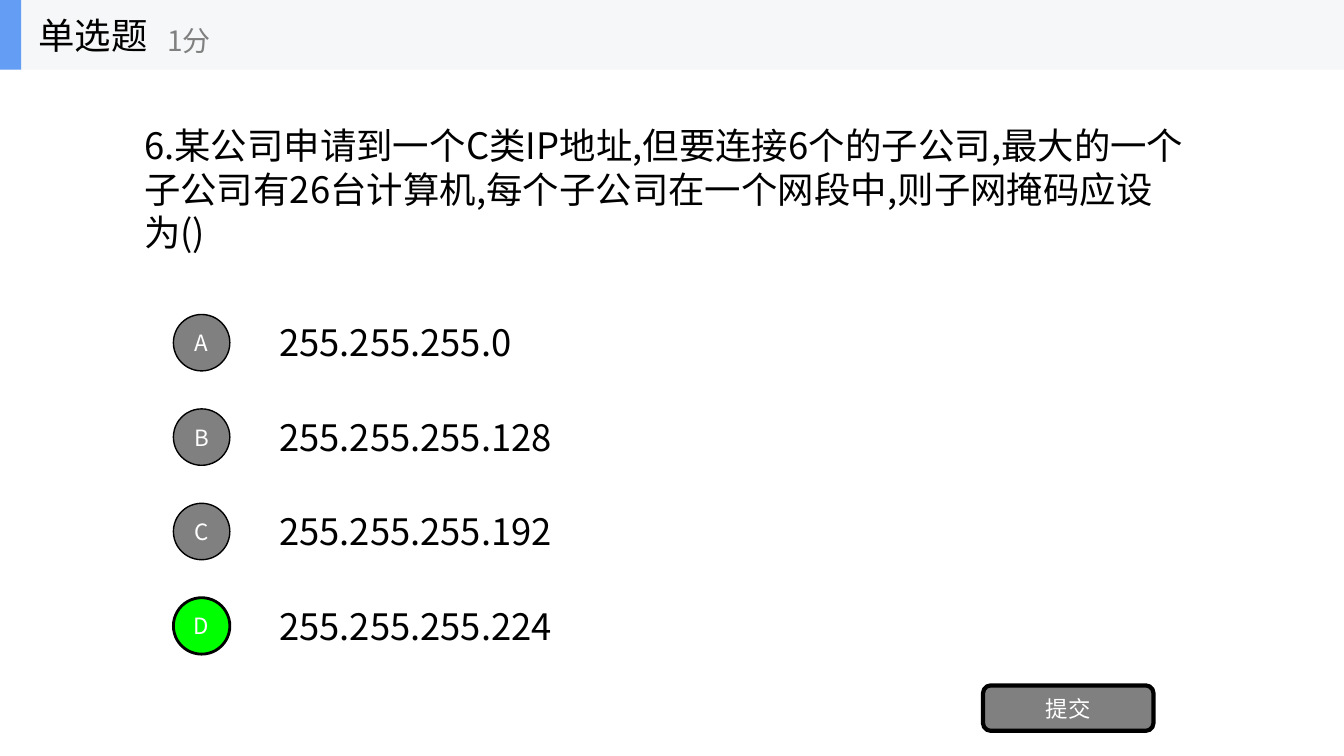
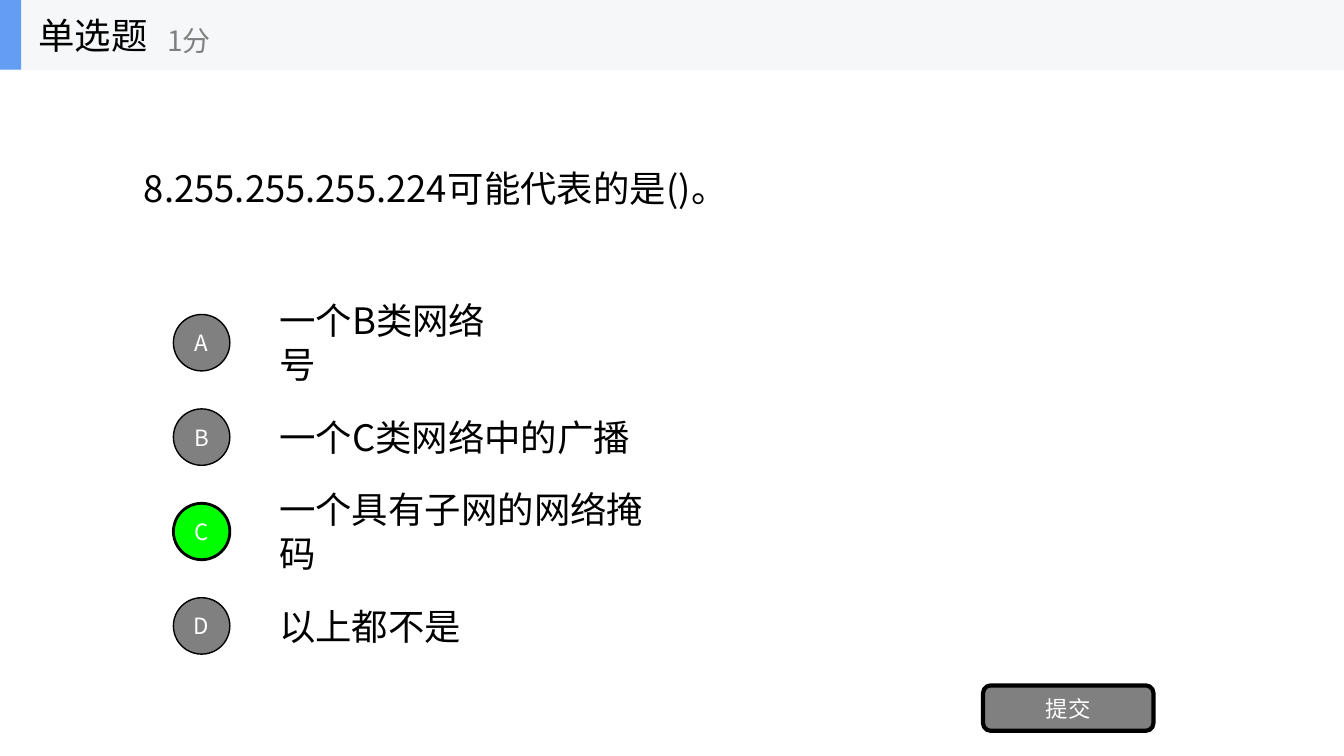
from dataclasses import dataclass

from lxml.etree import SubElement
from pptx import Presentation
from pptx.dml.color import RGBColor
from pptx.enum.shapes import MSO_SHAPE as Preset
from pptx.enum.text import MSO_ANCHOR as Anchor, MSO_AUTO_SIZE as AutoSize, PP_ALIGN as Align
from pptx.oxml.ns import qn
from pptx.shapes.autoshape import Shape
from pptx.slide import Slide
from pptx.util import Inches, Pt


@dataclass(frozen=True)
class Theme:
    font: str = "Noto Sans CJK SC"
    black: str = "000000"
    white: str = "FFFFFF"
    gray: str = "808080"
    correct: str = "00FF00"
    band: str = "F6F7F8"
    accent: str = "639EF4"
    body_size: int = 26
    score_size: int = 20
    button_size: int = 16


@dataclass(frozen=True)
class Box:
    left: float
    top: float
    width: float
    height: float

    def lengths(self) -> tuple[Inches, ...]:
        return tuple(Inches(value) for value in (self.left, self.top, self.width, self.height))


@dataclass(frozen=True)
class Option:
    text: str
    width: float
    correct: bool = False


@dataclass(frozen=True)
class Question:
    text: str
    box: Box
    options: tuple[Option, ...]


THEME = Theme()
SLIDE_WIDTH, SLIDE_HEIGHT = 13.33, 7.5
HEADER_HEIGHT = 0.69
FIRST_TOP, LAST_TOP = 3.12, 5.93
BADGE_LEFT, BADGE_SIZE = 1.72, 0.56
OPTION_LEFT, OPTION_HEIGHT, OPTION_OFFSET = 2.67, 0.53, 0.01

QUESTIONS = (
    Question(
        "6.某公司申请到一个C类IP地址,但要连接6个的子公司,最大的一个子公司有26台计算机,"
        "每个子公司在一个网段中,则子网掩码应设为()",
        Box(1.33, 1.17, 10.55, 1.4),
        (
            Option("255.255.255.0", 2.58),
            Option("255.255.255.128", 3),
            Option("255.255.255.192", 3),
            Option("255.255.255.224", 3, correct=True),
        ),
    ),
    Question(
        "8.255.255.255.224可能代表的是()。",
        Box(1.33, 1.6, 6.07, 0.53),
        (
            Option("一个B类网络号", 2.59),
            Option("一个C类网络中的广播", 3.69),
            Option("一个具有子网的网络掩码", 4.17, correct=True),
            Option("以上都不是", 2.01),
        ),
    ),
)


def write_text(shape: Shape, text: str, *, size: int = THEME.body_size,
               color: str = THEME.black, align: Align = Align.LEFT,
               wrap: bool = True, grow: bool = False) -> None:
    frame = shape.text_frame
    frame.word_wrap = wrap
    frame.auto_size = AutoSize.SHAPE_TO_FIT_TEXT if grow else AutoSize.NONE
    frame.vertical_anchor = Anchor.MIDDLE
    paragraph = frame.paragraphs[0]
    paragraph.alignment = align
    run = paragraph.add_run()
    run.text = text
    run.font.size = Pt(size)
    run.font.color.rgb = RGBColor.from_string(color)
    run.font.name = THEME.font
    SubElement(run.font._element, qn("a:ea"), typeface=THEME.font)


def add_text_box(slide: Slide, box: Box, text: str, **text_format) -> None:
    write_text(slide.shapes.add_textbox(*box.lengths()), text, **text_format)


def add_block(slide: Slide, preset: Preset, box: Box, fill: str, line_width: float = 0) -> Shape:
    shape = slide.shapes.add_shape(preset, *box.lengths())
    shape.shadow.inherit = False
    shape.fill.solid()
    shape.fill.fore_color.rgb = RGBColor.from_string(fill)
    if line_width:
        shape.line.color.rgb = RGBColor.from_string(THEME.black)
        shape.line.width = Pt(line_width)
    else:
        shape.line.fill.background()
    return shape


def add_button(slide: Slide, preset: Preset, box: Box, text: str, fill: str, line_width: float) -> None:
    button = add_block(slide, preset, box, fill, line_width)
    write_text(button, text, size=THEME.button_size, color=THEME.white, align=Align.CENTER)


def add_header(slide: Slide) -> None:
    add_block(slide, Preset.RECTANGLE, Box(0, 0, SLIDE_WIDTH, HEADER_HEIGHT), THEME.band)
    add_block(slide, Preset.RECTANGLE, Box(0, 0, 0.21, HEADER_HEIGHT), THEME.accent)
    title = slide.shapes.title
    title.left, title.top, title.width, title.height = Box(0.28, 0, 2.08, HEADER_HEIGHT).lengths()
    write_text(title, "单选题", wrap=False)
    title.element.getparent().append(title.element)
    add_text_box(slide, Box(1.56, 0.12, 2.5, 0.56), "1分",
                 size=THEME.score_size, color=THEME.gray, wrap=False)


def add_options(slide: Slide, options: tuple[Option, ...]) -> None:
    pitch = (LAST_TOP - FIRST_TOP) / (len(options) - 1)
    for index, (letter, option) in enumerate(zip("ABCD", options)):
        top = FIRST_TOP + index * pitch
        add_text_box(slide, Box(OPTION_LEFT, top + OPTION_OFFSET, option.width, OPTION_HEIGHT),
                     option.text, grow=True)
        fill, line_width = (THEME.correct, 2) if option.correct else (THEME.gray, 1)
        add_button(slide, Preset.OVAL, Box(BADGE_LEFT, top, BADGE_SIZE, BADGE_SIZE),
                   letter, fill, line_width)


def add_question_slide(presentation: Presentation, question: Question) -> None:
    slide = presentation.slides.add_slide(presentation.slide_layouts.get_by_name("Title Only"))
    add_text_box(slide, question.box, question.text, grow=True)
    add_options(slide, question.options)
    add_button(slide, Preset.ROUNDED_RECTANGLE, Box(9.75, 6.8, 1.69, 0.45), "提交", THEME.gray, 3)
    add_header(slide)


def main() -> None:
    presentation = Presentation()
    presentation.slide_width = Inches(SLIDE_WIDTH)
    presentation.slide_height = Inches(SLIDE_HEIGHT)
    for question in QUESTIONS:
        add_question_slide(presentation, question)
    presentation.save("out.pptx")


if __name__ == "__main__":
    main()
